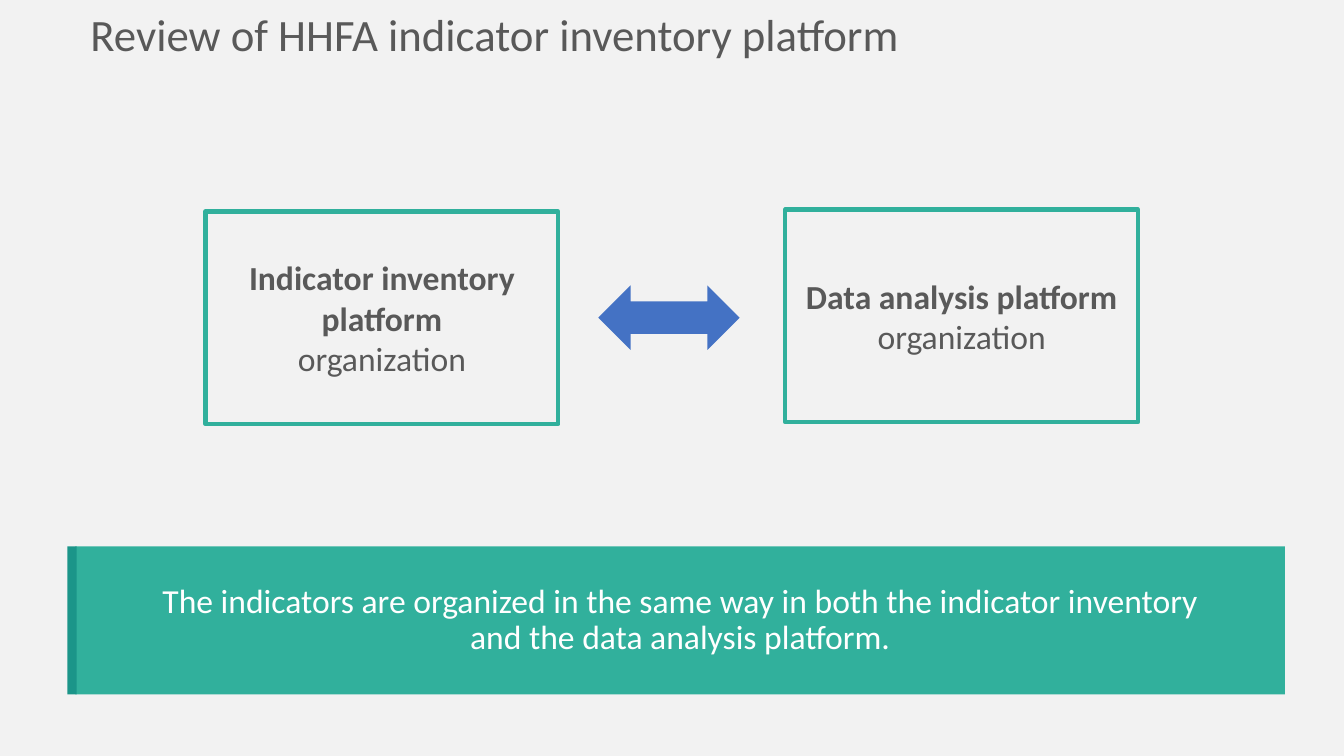
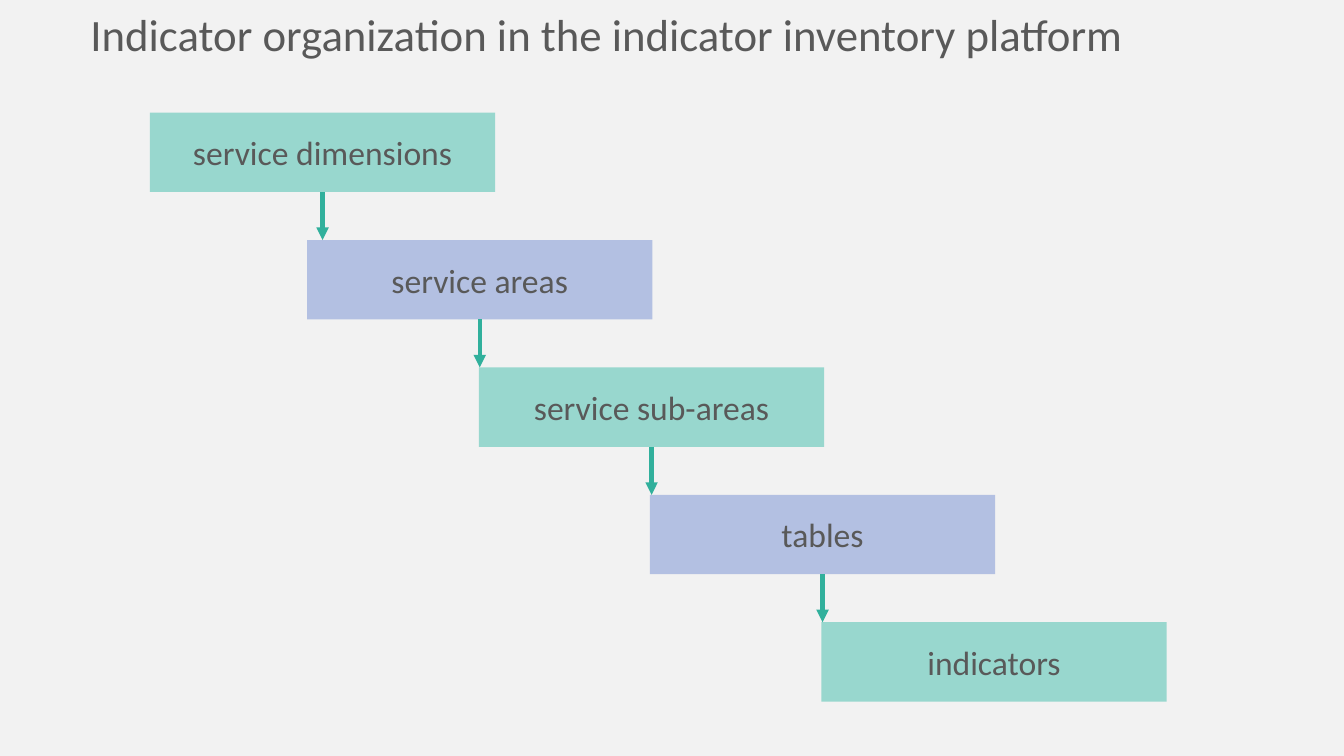
from itertools import pairwise

from lxml.etree import SubElement
from pptx import Presentation
from pptx.dml.color import RGBColor
from pptx.enum.shapes import MSO_CONNECTOR as Connector, MSO_SHAPE as Shape
from pptx.enum.text import MSO_ANCHOR as Anchor, MSO_AUTO_SIZE as AutoSize, PP_ALIGN as Align
from pptx.oxml.ns import qn
from pptx.util import Cm, Pt

FONT = "Calibri"
GREY, WHITE, BACKGROUND = "595959", "FFFFFF", "F2F2F2"
TEAL, DARK_TEAL, PALE_TEAL = "31B09C", "1B9589", "98D7CE"
BLUE, PALE_BLUE = "4472C4", "B3C0E2"
TITLE_SIZE, BODY_SIZE, LINE_WIDTH = 32, 24, 3


def paint(color_format, color):
    color_format.rgb = RGBColor.from_string(color)


def fill_with(fill, color):
    fill.solid()
    paint(fill.fore_color, color)


class SlideBuilder:
    def __init__(self):
        self.deck = Presentation()
        self.deck.slide_width, self.deck.slide_height = Cm(33.87), Cm(19.05)
        fill_with(self.deck.slide_master.background.fill, BACKGROUND)
        self.page = None

    def new_page(self, title):
        self.page = self.deck.slides.add_slide(self.deck.slide_layouts[6])
        box = self.page.shapes.add_textbox(Cm(2.03), Cm(0.05), Cm(31.45), Cm(1.63))
        box.text_frame.word_wrap = True
        box.text_frame.auto_size = AutoSize.SHAPE_TO_FIT_TEXT
        self.set_text(box, [title], size=TITLE_SIZE, align=Align.LEFT)

    def set_text(self, box, lines, color=GREY, size=BODY_SIZE, align=Align.CENTER,
                 bold_first=False, spacing=None):
        frame = box.text_frame
        for index, line in enumerate(lines):
            para = frame.add_paragraph() if index else frame.paragraphs[0]
            para.text = line
            para.alignment = align
            para.line_spacing = spacing
            font = para.font
            font.name, font.size = FONT, Pt(size)
            font.bold = bold_first and index == 0
            paint(font.color, color)

    def shape(self, left, top, width, height, fill=None, outline=None, kind=Shape.RECTANGLE):
        box = self.page.shapes.add_shape(kind, Cm(left), Cm(top), Cm(width), Cm(height))
        box.shadow.inherit = False
        if fill:
            fill_with(box.fill, fill)
        else:
            box.fill.background()
        if outline:
            paint(box.line.color, outline)
            box.line.width = Pt(LINE_WIDTH)
        else:
            box.line.fill.background()
        box.text_frame.word_wrap = True
        box.text_frame.vertical_anchor = Anchor.MIDDLE
        return box

    def down_arrow(self, x, top, bottom):
        arrow = self.page.shapes.add_connector(
            Connector.STRAIGHT, Cm(x), Cm(top), Cm(x), Cm(bottom))
        paint(arrow.line.color, TEAL)
        arrow.line.width = Pt(LINE_WIDTH)
        properties = arrow.element.spPr
        SubElement(properties.find(qn("a:ln")), qn("a:tailEnd"), type="triangle")
        SubElement(properties, qn("a:effectLst"))

    def banner(self, left, top, width, height, text):
        band = self.shape(left, top, width, height, fill=TEAL)
        self.set_text(band, [text], color=WHITE, spacing=0.9)
        self.shape(left - 0.2, top, 0.23, height, fill=DARK_TEAL)


def build_platforms(slides):
    slides.new_page("Review of HHFA indicator inventory platform")
    platforms = [(5.18, 5.33, "Indicator inventory platform"),
                 (19.79, 5.28, "Data analysis platform")]
    for left, top, name in platforms:
        box = slides.shape(left, top, 8.89, 5.36, outline=TEAL)
        slides.set_text(box, [name, "organization"], bold_first=True)
    slides.shape(15.08, 7.19, 3.56, 1.63, fill=BLUE, kind=Shape.LEFT_RIGHT_ARROW)
    slides.banner(1.9, 13.77, 30.48, 3.73,
                  "The indicators are organized in the same way in both the indicator inventory"
                  "\vand the data analysis platform.")


def build_levels(slides):
    slides.new_page("Indicator organization in the indicator inventory platform")
    width, height, first_top, drop = 8.7, 2, 2.84, 3.21
    levels = [(3.78, "service dimensions"), (7.74, "service areas"),
              (12.07, "service sub-areas"), (16.38, "tables"), (20.7, "indicators")]
    tops = [first_top + drop * index for index in range(len(levels))]
    for index, ((left, name), top) in enumerate(zip(levels, tops)):
        box = slides.shape(left, top, width, height, fill=(PALE_TEAL, PALE_BLUE)[index % 2])
        slides.set_text(box, [name])
    for (left, _), (top, next_top) in zip(levels, pairwise(tops)):
        slides.down_arrow(left + width / 2, top + height, next_top)


def main():
    slides = SlideBuilder()
    build_platforms(slides)
    build_levels(slides)
    slides.deck.save("out.pptx")


if __name__ == "__main__":
    main()
